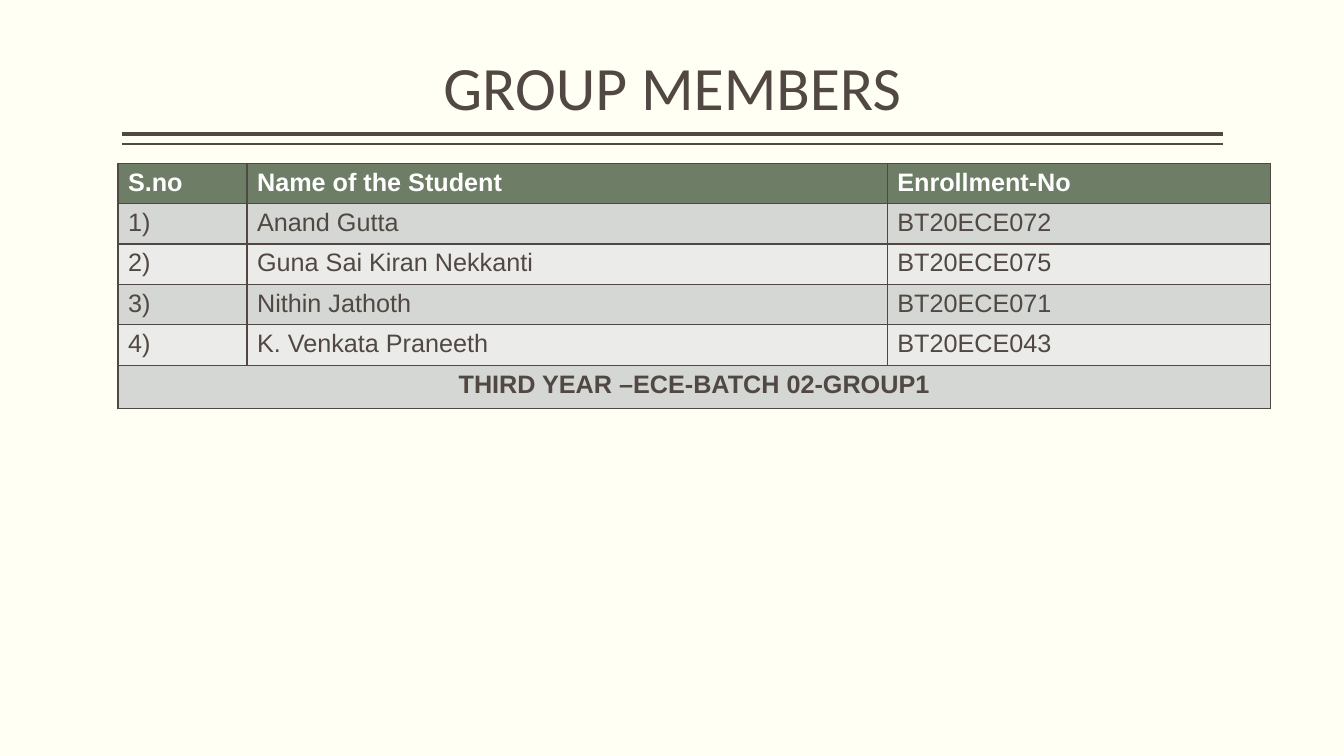
from lxml import etree
from pptx import Presentation
from pptx.dml.color import RGBColor
from pptx.enum.shapes import MSO_CONNECTOR
from pptx.enum.text import MSO_ANCHOR, PP_ALIGN
from pptx.oxml.ns import qn
from pptx.util import Inches, Pt

STRAIGHT = MSO_CONNECTOR.STRAIGHT
BOTTOM = MSO_ANCHOR.BOTTOM
CENTER, LEFT = PP_ALIGN.CENTER, PP_ALIGN.LEFT

THEME = {
    "background": "FFFFF3", "ink": "514843", "header": "6D7D66",
    "header_text": "FFFFFF", "bands": ("EBECEA", "D4D7D3"),
    "title_font": "Calibri", "body_font": "Arial",
    "title_size": 44, "body_size": 18,
}
MARGIN, CONTENT_WIDTH = 1.21, 10.92
TABLE_LEFT, TABLE_TOP = 1.17, 1.62
COLUMNS = (1.28, 6.35, 3.8)
ROW_HEIGHT, FOOTER_HEIGHT = 0.4, 0.43

HEADINGS = ("S.no", "Name of the Student", "Enrollment-No")
MEMBERS = (
    ("Anand Gutta", "BT20ECE072"),
    ("Guna Sai Kiran Nekkanti", "BT20ECE075"),
    ("Nithin Jathoth", "BT20ECE071"),
    ("K. Venkata Praneeth", "BT20ECE043"),
)
GROUP = "THIRD YEAR –ECE-BATCH 02-GROUP1"


def write(paragraph, text, color, align, **font_format):
    paragraph.alignment = align
    run = paragraph.add_run()
    run.text = text
    run.font.color.rgb = RGBColor.from_string(color)
    for name, value in font_format.items():
        setattr(run.font, name, value)


def add_borders(cell, color, width):
    properties = cell._tc.get_or_add_tcPr()
    for side in ("lnL", "lnR", "lnT", "lnB"):
        line = etree.SubElement(properties, qn(f"a:{side}"), w=str(Pt(width)))
        fill = etree.SubElement(line, qn("a:solidFill"))
        etree.SubElement(fill, qn("a:srgbClr"), val=color)


deck = Presentation()
deck.slide_width, deck.slide_height = Inches(13.33), Inches(7.5)
slide = deck.slides.add_slide(deck.slide_layouts[6])
slide.background.fill.solid()
slide.background.fill.fore_color.rgb = RGBColor.from_string(THEME["background"])

# Double rule under the title
for rule_top, rule_width in ((1.33, 3), (1.43, 1)):
    rule = slide.shapes.add_connector(
        STRAIGHT, Inches(MARGIN), Inches(rule_top),
        Inches(MARGIN + CONTENT_WIDTH), Inches(rule_top))
    rule.line.color.rgb = RGBColor.from_string(THEME["ink"])
    rule.line.width = Pt(rule_width)
    etree.SubElement(rule._element.spPr, qn("a:effectLst"))

# Title
title = slide.shapes.add_textbox(
    Inches(MARGIN), Inches(0.08), Inches(CONTENT_WIDTH), Inches(1.2)).text_frame
title_format = {"word_wrap": True, "vertical_anchor": BOTTOM,
                "margin_left": 0, "margin_right": 0}
for name, value in title_format.items():
    setattr(title, name, value)
title.paragraphs[0].line_spacing = 0.9
write(title.paragraphs[0], "GROUP MEMBERS", THEME["ink"], CENTER,
      name=THEME["title_font"], size=Pt(THEME["title_size"]))

# Member table
rows = [HEADINGS]
rows += [(f"{number})", *member) for number, member in enumerate(MEMBERS, 1)]
rows.append((GROUP, "", ""))
footer = len(rows) - 1
members_table = slide.shapes.add_table(
    len(rows), len(COLUMNS), Inches(TABLE_LEFT), Inches(TABLE_TOP),
    Inches(sum(COLUMNS)), Inches(ROW_HEIGHT * footer + FOOTER_HEIGHT)).table
for column, width in zip(members_table.columns, COLUMNS):
    column.width = Inches(width)

for row_index, texts in enumerate(rows):
    is_header, is_footer = row_index == 0, row_index == footer
    members_table.rows[row_index].height = Inches(
        FOOTER_HEIGHT if is_footer else ROW_HEIGHT)
    band = THEME["header"] if is_header else THEME["bands"][row_index % 2]
    for column_index, text in enumerate(texts):
        cell = members_table.cell(row_index, column_index)
        add_borders(cell, THEME["ink"], 1)
        cell.fill.solid()
        cell.fill.fore_color.rgb = RGBColor.from_string(band)
        if text:
            write(cell.text_frame.paragraphs[0], text,
                  THEME["header_text" if is_header else "ink"],
                  CENTER if is_footer else LEFT,
                  name=THEME["body_font"], size=Pt(THEME["body_size"]),
                  bold=is_header or is_footer)

members_table.cell(footer, 0).merge(members_table.cell(footer, len(COLUMNS) - 1))

deck.save("out.pptx")
